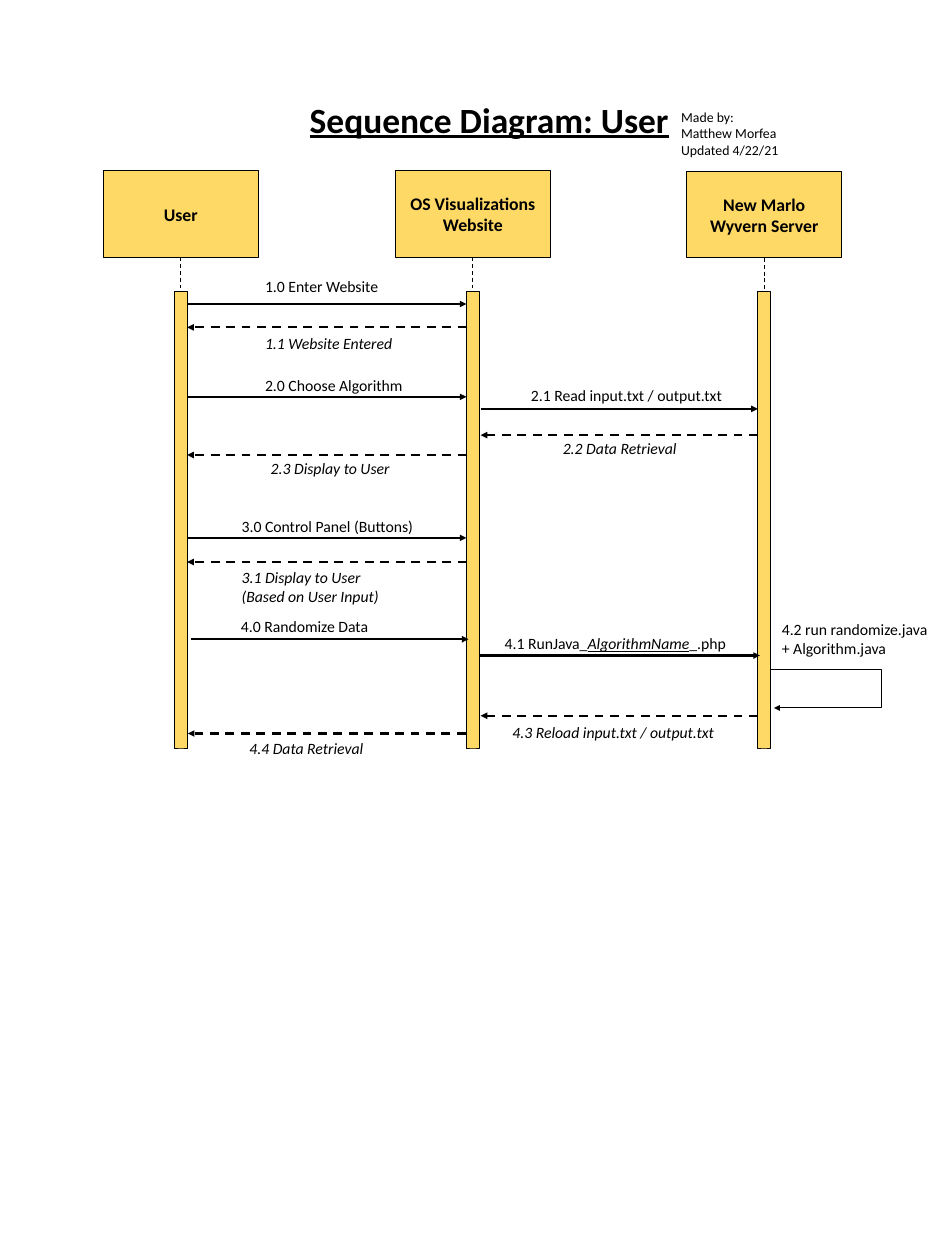
from lxml.etree import SubElement
from pptx import Presentation
from pptx.dml.color import RGBColor
from pptx.enum.dml import MSO_LINE
from pptx.enum.shapes import MSO_CONNECTOR, MSO_SHAPE
from pptx.enum.text import MSO_ANCHOR, PP_ALIGN
from pptx.oxml.ns import qn
from pptx.util import Inches, Pt

FONT = "Calibri"
COLORS = {"ink": "000000", "box": "FFD966"}

# Participants: name, lifeline centre, header top
PARTICIPANTS = [
    ("User", 2.55, 2.41),
    ("OS Visualizations Website", 6.67, 2.41),
    ("New Marlo Wyvern Server", 10.78, 2.42),
]
HEADER_W, HEADER_H = 2.19, 1.22
BAR_TOP, BAR_W, BAR_H = 4.11, 0.18, 6.46

# Messages: from x, to x, y, label lines, label left, top, width; replies run leftwards
MESSAGES = [
    (2.64, 6.58, 4.29, ["1.0 Enter Website"], 3.64, 3.86, 2.1),
    (6.58, 2.64, 4.62, ["1.1 Website Entered"], 3.64, 4.66, 2.1),
    (2.64, 6.58, 5.6, ["2.0 Choose Algorithm"], 3.64, 5.25, 2.31),
    (6.78, 10.69, 5.77, ["2.1 Read input.txt / output.txt"], 7.39, 5.4, 3.03),
    (10.69, 6.78, 6.14, ["2.2 Data Retrieval"], 7.84, 6.14, 3.03),
    (6.58, 2.64, 6.42, ["2.3 Display to User"], 3.72, 6.42, 3.03),
    (2.64, 6.58, 7.59, ["3.0 Control Panel (Buttons)"], 3.31, 7.24, 2.76),
    (6.58, 2.64, 7.93, ["3.1 Display to User", "(Based on User Input)"], 3.31, 7.96, 2.76),
    (2.69, 6.61, 9.02, ["4.0 Randomize Data"], 3.3, 8.65, 3.03),
    (6.75, 10.72, 9.25, [["4.1 RunJava_", ("AlgorithmName",), "_.php"]], 7.02, 8.9, 3.36),
    (10.69, 6.78, 10.1, ["4.3 Reload input.txt / output.txt"], 7.13, 10.15, 3.21),
    (6.57, 2.65, 10.35, ["4.4 Data Retrieval"], 3.42, 10.38, 3.03),
]
SELF_CALL = ["4.2 run randomize.java", "+ Algorithm.java"]
SELF_PATH = [(10.88, 9.45), (12.44, 9.45), (12.44, 9.99), (10.92, 9.99)]
CREDIT = ["Made by:", "Matthew Morfea", "Updated 4/22/21"]

prs = Presentation()
prs.slide_width, prs.slide_height = Inches(13.33), Inches(17.78)
slide = prs.slides.add_slide(prs.slide_layouts[6])
shapes = slide.shapes


def color(name):
    return RGBColor.from_string(COLORS[name])


def write(tf, lines, size=16, bold=False, italic=False, underline=False, align=PP_ALIGN.LEFT):
    """Fill a frame; a line is a string or a list of runs, where a tuple is emphasised."""
    tf.word_wrap = True
    for i, line in enumerate(lines):
        p = tf.paragraphs[0] if i == 0 else tf.add_paragraph()
        p.alignment = align
        for part in [line] if isinstance(line, str) else line:
            stressed = isinstance(part, tuple)
            r = p.add_run()
            r.text = part[0] if stressed else part
            r.font.name, r.font.size, r.font.bold = FONT, Pt(size), bold
            r.font.italic = italic or stressed
            r.font.underline = underline or stressed
            r.font.color.rgb = color("ink")


def add_text(x, y, w, h, lines, **fmt):
    write(shapes.add_textbox(*map(Inches, (x, y, w, h))).text_frame, lines, **fmt)


def add_label(x, y, w, lines, **fmt):
    add_text(x, y, w, 0.1 + 0.27 * len(lines), lines, **fmt)


def add_box(x, y, w, h):
    sp = shapes.add_shape(MSO_SHAPE.RECTANGLE, *map(Inches, (x, y, w, h)))
    sp.shadow.inherit = False
    sp.fill.solid()
    sp.fill.fore_color.rgb = color("box")
    style_line(sp, 1)
    return sp


def style_line(sp, width, dashed=False, arrow=False):
    sp.line.color.rgb = color("ink")
    sp.line.width = Pt(width)
    if dashed:
        sp.line.dash_style = MSO_LINE.DASH
    if arrow:
        SubElement(sp.line._get_or_add_ln(), qn("a:tailEnd"), type="triangle")


def add_line(x1, y1, x2, y2, width, **style):
    cx = shapes.add_connector(MSO_CONNECTOR.STRAIGHT, *map(Inches, (x1, y1, x2, y2)))
    style_line(cx, width, **style)
    SubElement(cx._element.spPr, qn("a:effectLst"))


# Title and credit
add_text(4.27, 1.33, 6.45, 0.71, ["Sequence Diagram: User"], size=36, bold=True, underline=True)
add_text(9.51, 1.48, 2.1, 0.81, CREDIT, size=14)

# Participants with their lifelines
for name, center, top in PARTICIPANTS:
    add_box(center - BAR_W / 2, BAR_TOP, BAR_W, BAR_H)
    header = add_box(center - HEADER_W / 2, top, HEADER_W, HEADER_H)
    header.text_frame.vertical_anchor = MSO_ANCHOR.MIDDLE
    write(header.text_frame, [name], size=18, bold=True, align=PP_ALIGN.CENTER)
    add_line(center, top + HEADER_H, center, BAR_TOP, 1, dashed=True)

# Messages: calls solid, replies dashed with italic labels
for start, end, y, lines, x, top, width in MESSAGES:
    reply = end < start
    add_line(start, y, end, y, 2.25, dashed=reply, arrow=True)
    add_label(x, top, width, lines, italic=reply)

# Server's call to itself
points = [(Inches(x), Inches(y)) for x, y in SELF_PATH]
builder = shapes.build_freeform(*points[0])
builder.add_line_segments(points[1:], close=False)
loop = builder.convert_to_shape()
loop.shadow.inherit = False
loop.fill.background()
style_line(loop, 1, arrow=True)
add_label(10.93, 8.7, 2.4, SELF_CALL)

prs.save("out.pptx")
